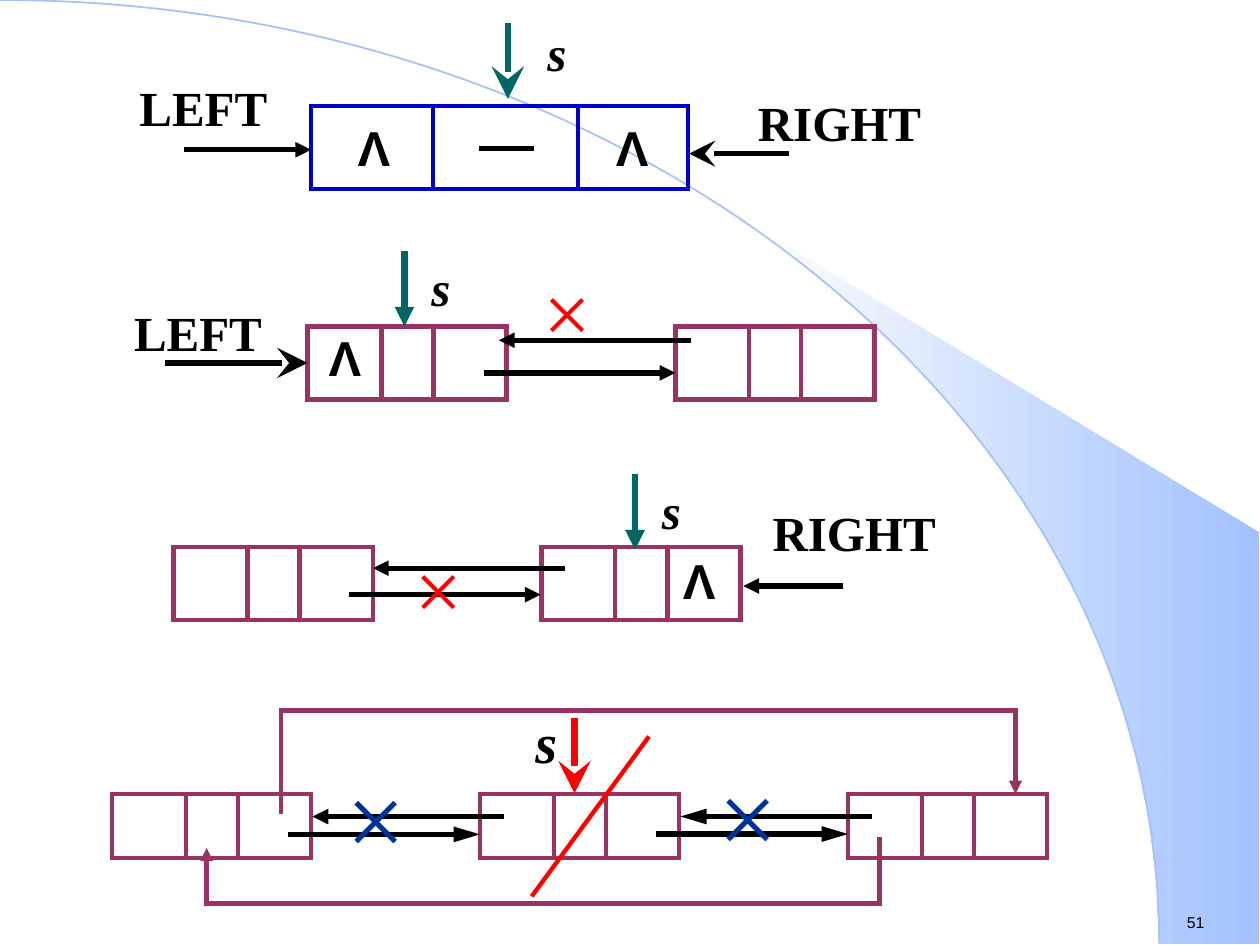
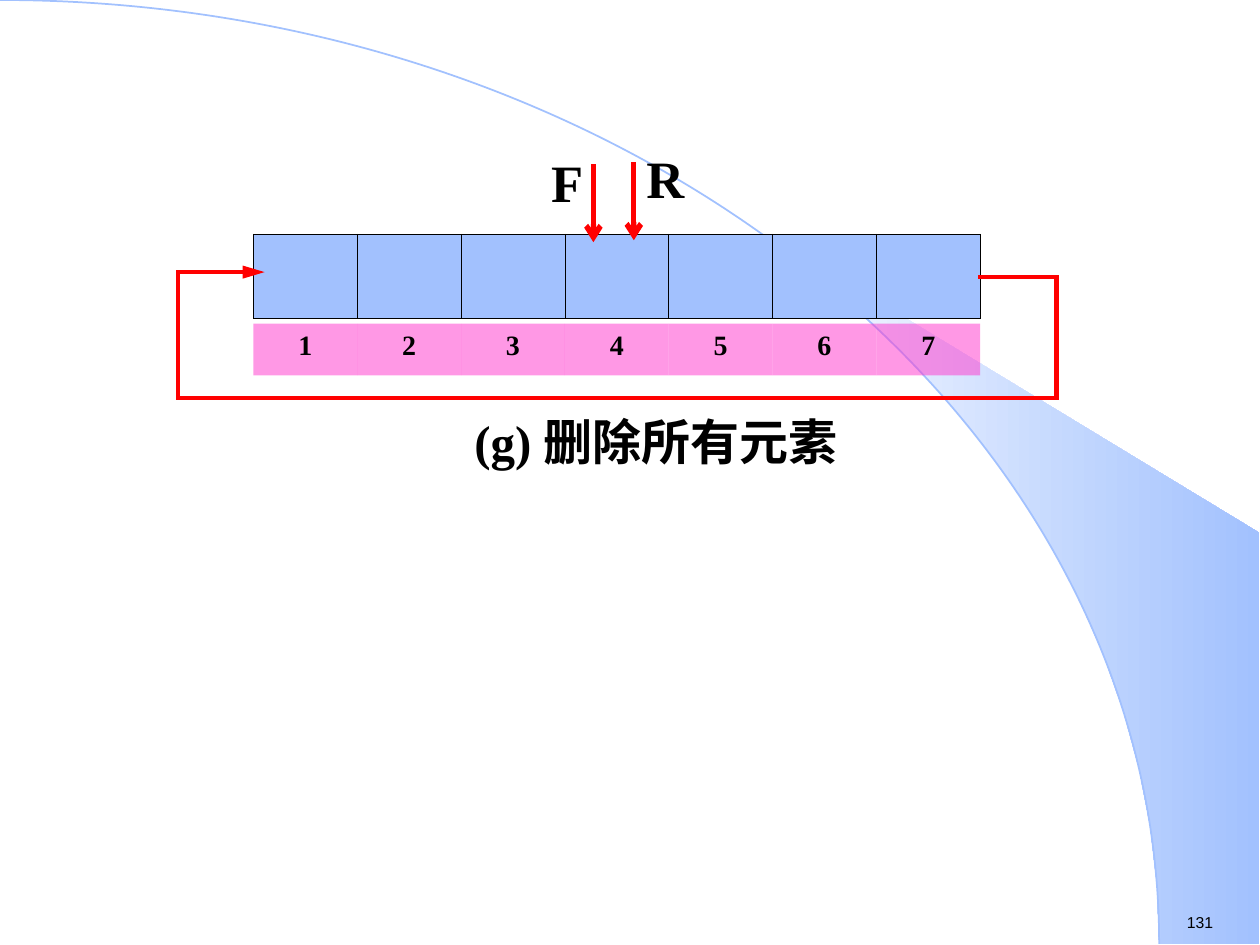
"""Builds two slides on linked-list deletion and an emptied circular queue."""
from math import cos, radians, sin

from lxml.etree import SubElement
from pptx import Presentation
from pptx.dml.color import RGBColor
from pptx.enum.shapes import MSO_CONNECTOR, MSO_SHAPE
from pptx.enum.text import MSO_AUTO_SIZE, PP_ALIGN as AL
from pptx.oxml.ns import qn
from pptx.util import Pt

rgb = RGBColor.from_string
BLACK, RED, TEAL, MAROON = "000000", "FF0000", "006666", "993366"
BLUE, NAVY, SKY, PINK, WHITE = "0000CC", "003399", "A2C1FE", "FF33CC", "FFFFFF"
SERIF, SANS, CJK = "Times New Roman", "Arial", "Noto Sans CJK SC"
NO_STYLE = "{2D5ABB26-0587-4C30-8999-92F81FD0307C}"
TRIANGLE, OPEN = {"type": "triangle"}, {"type": "arrow"}
LONG = {"type": "triangle", "len": "lg"}
STEALTH = {"type": "stealth", "w": "lg", "len": "lg"}


def draw_line(s, points, color, weight, head=None, cap="sq"):
    """Draws straight segments through the points and returns the last one."""
    for start, end in zip(points, points[1:]):
        c = s.shapes.add_connector(MSO_CONNECTOR.STRAIGHT, *map(Pt, start + end))
        c.line.color.rgb = rgb(color)
        c.line.width = Pt(weight)
        c.element.spPr.find(qn("a:ln")).set("cap", cap)
        SubElement(c.element.spPr, qn("a:effectLst"))
    if head:
        SubElement(c.element.spPr.find(qn("a:ln")), qn("a:tailEnd"), **head)
    return c


def add_label(s, text, x, y, w, size=28, font=SERIF, color=BLACK, align=AL.CENTER,
              spacing=0.8, bold=True, italic=False):
    """Adds a one-paragraph text box without margins and returns the paragraph."""
    h = size * 1.2 * min(spacing, 1)
    tf = s.shapes.add_textbox(Pt(x), Pt(y), Pt(w), Pt(h)).text_frame
    tf.word_wrap = True
    tf.auto_size = MSO_AUTO_SIZE.SHAPE_TO_FIT_TEXT
    tf.margin_left = tf.margin_top = tf.margin_right = tf.margin_bottom = 0
    p = tf.paragraphs[0]
    p.text, p.alignment, p.line_spacing = text, align, spacing
    p.font.name, p.font.size = font, Pt(size)
    p.font.bold, p.font.italic = bold, italic
    p.font.color.rgb = rgb(color)
    return p


prs = Presentation()
prs.slide_width, prs.slide_height = Pt(720), Pt(540)
layout = prs.slide_layouts[6]
for ph in list(layout.placeholders):
    layout.shapes.element.remove(ph.element)
lists, queue = [prs.slides.add_slide(layout) for _ in range(2)]

RX, RY = 662.4, 539.3
angles = [radians(40 + 50 * i / 14) for i in range(15)]
edge = [(Pt(RX * sin(a)), Pt(RY * (1 - cos(a)))) for a in angles]
fb = lists.shapes.build_freeform(*edge[0])
fb.add_line_segments(edge[1:] + [(Pt(719.5), Pt(539.3)), (Pt(719.5), Pt(304.5))])
band = fb.convert_to_shape()
band.fill.gradient()
band.fill.gradient_angle = 0
for stop, color in zip(band.fill.gradient_stops, (WHITE, SKY)):
    stop.color.rgb = rgb(color)
band.line.fill.background()

fb = lists.shapes.build_freeform(0, 0)
fb.add_line_segments([(Pt(RX), Pt(RY))], close=False)
curve = fb.convert_to_shape()
curve.fill.background()
curve.line.color.rgb = rgb(SKY)
curve.line.width = Pt(1)
segment = next(curve.element.iter(qn("a:lnTo")))
bezier = SubElement(segment.getparent(), qn("a:cubicBezTo"))
segment.getparent().remove(segment)
for x, y in ((RX * 0.55, 0), (RX, RY * 0.45), (RX, RY)):
    SubElement(bezier, qn("a:pt"), x=str(Pt(x)), y=str(Pt(y)))
for sp in (band, curve):
    sp.shadow.inherit = False
    layout.shapes.element.append(sp.element)

for s, number in ((lists, "51"), (queue, "131")):
    add_label(s, number, 678.2, 521.7, 40, 9, SANS, align=AL.LEFT, spacing=1, bold=False)

NODE_STEP, NODE_W, NODE_CUTS = 210.2, 113.8, (42.2, 72)
nodes = []
for x0, y, w, h, cuts, color, weight, count in (
        (177.8, 60.5, 215.3, 47.5, (69.9, 152.7), BLUE, 2.25, 1),
        (175.7, 186.5, NODE_W, 41.8, NODE_CUTS, MAROON, 2.5, 2),
        (99.2, 312.5, NODE_W, 41.8, NODE_CUTS, MAROON, 2.5, 2),
        (64.1, 453.6, NODE_W, 36.7, NODE_CUTS, MAROON, 2.5, 3)):
    for i in range(count):
        x = x0 + i * NODE_STEP
        sp = lists.shapes.add_shape(MSO_SHAPE.RECTANGLE, Pt(x), Pt(y), Pt(w), Pt(h))
        sp.shadow.inherit = False
        sp.fill.background()
        sp.line.color.rgb = rgb(color)
        sp.line.width = Pt(weight)
        SubElement(sp.element.spPr.find(qn("a:ln")), qn("a:miter"), lim="800000")
        nodes.append(sp)
        for cut in cuts:
            draw_line(lists, [(x + cut, y), (x + cut, y + h)], color, weight)

for x, y, dx, head in (
        (393.1, 194.4, -108, TRIANGLE), (277.9, 213.1, 108, TRIANGLE),
        (321.1, 324.7, -108, TRIANGLE), (200.9, 339.8, 108, TRIANGLE),
        (286.6, 466.6, -108, TRIANGLE), (496.8, 466.6, -108, LONG),
        (166.3, 476.8, 108, LONG), (376.6, 476.6, 108, LONG)):
    draw_line(lists, [(x, y), (x + dx, y)], BLACK, 3, head)
for x, y, dx, head in ((105.1, 85.6, 72.7, TRIANGLE), (273.6, 85, 31.7, None),
                       (450.7, 87.8, -56.9, STEALTH), (481.7, 334.9, -56.9, TRIANGLE)):
    draw_line(lists, [(x, y), (x + dx, y)], BLACK, 3, head, "flat")
c = draw_line(lists, [(95.8, 207.4), (175.7, 207.4)], BLACK, 3.5, STEALTH)
c.end_connect(nodes[1], 1)
for x, y, color, head in ((290.2, 15.1, TEAL, STEALTH), (231.1, 145.2, TEAL, TRIANGLE),
                          (362.9, 272.7, TEAL, TRIANGLE), (328.3, 412, RED, STEALTH)):
    draw_line(lists, [(x, y), (x, y + 41.4)], color, 3.75, head)
draw_line(lists, [(370.1, 421.9), (304.6, 511.2)], RED, 2.5)
for bypass in ([(502.6, 479.5), (502.6, 516.2), (118.1, 516.2), (118.1, 484.6)],
               [(160.6, 463.7), (160.6, 406.1), (580.3, 406.1), (580.3, 453.6)]):
    draw_line(lists, bypass, MAROON, 2.5, TRIANGLE)

for x, y, w, size in ((294.5, 19.4, 47.5, 28), (228.2, 153.8, 47.5, 28),
                      (360, 281.2, 47.5, 28), (283.7, 411.8, 56.9, 32)):
    add_label(lists, "s", x, y, w, size, italic=True)
for text, x, y, w, align, spacing in (
        ("LEFT", 56.9, 50.8, 95.8, AL.RIGHT, 0.8), ("RIGHT", 425.5, 59.3, 100.8, AL.RIGHT, 0.8),
        ("LEFT", 56.2, 172.8, 113.8, AL.CENTER, 1.0), ("RIGHT", 433.4, 286.9, 109.4, AL.CENTER, 1.0)):
    add_label(lists, text, x, y, w, align=align, spacing=spacing)
for x, y, w in ((190, 73.4, 47.5), (337.5, 73.4, 47.5), (185.6, 193.4, 23), (388.1, 320.9, 23)):
    add_label(lists, "Λ", x, y, w, font=SANS)
for x, y, w, size, color in ((310.5, 159.5, 45.4, 48, RED), (236.9, 317.5, 45.4, 48, RED),
                             (198, 443.8, 56.9, 60, NAVY), (410.4, 442.8, 56.9, 60, NAVY)):
    add_label(lists, "×", x, y, w, size, color=color, align=AL.LEFT, bold=False)

for y, h, color, numbered in ((133.9, 47.8, SKY, False), (185, 29.5, PINK, True)):
    gf = queue.shapes.add_table(1, 7, Pt(144.8), Pt(y), Pt(415.5), Pt(h))
    gf.table.first_row = gf.table.horz_banding = False
    next(gf.element.iter(qn("a:tableStyleId"))).text = NO_STYLE
    for i, cell in enumerate(gf.table.iter_cells(), 1):
        if numbered:
            p = cell.text_frame.paragraphs[0]
            p.text, p.alignment = str(i), AL.CENTER
            p.font.name, p.font.size, p.font.bold = SERIF, Pt(16), True
            p.font.color.rgb = rgb(BLACK)
        else:
            for side in ("L", "R", "T", "B"):
                ln = SubElement(cell._tc.get_or_add_tcPr(), qn("a:ln" + side), w=str(Pt(0.45)))
                SubElement(SubElement(ln, qn("a:solidFill")), qn("a:srgbClr"), val=BLACK)
        cell.fill.solid()
        cell.fill.fore_color.rgb = rgb(color)
        if numbered:
            clr = cell._tc.tcPr.find(qn("a:solidFill")).find(qn("a:srgbClr"))
            SubElement(clr, qn("a:alpha"), val="50000")

draw_line(queue, [(560.2, 158.4), (603.8, 158.4), (603.8, 227.5), (101.6, 227.5),
                  (101.6, 155.5), (151.2, 155.5)], RED, 2.5, LONG)
for text, x, y, arrow_x, arrow_y in (("F", 308.2, 88.6, 339.1, 95.4), ("R", 364.3, 86.4, 362.2, 94.3)):
    draw_line(queue, [(arrow_x, arrow_y), (arrow_x, arrow_y + 43)], RED, 3, OPEN)
    add_label(queue, text, x, y, 31.7, 30, spacing=Pt(33))
p = add_label(queue, "(g) ", 223.9, 235.8, 301.7, spacing=Pt(33))
r = p.add_run()
r.text = "删除所有元素"
r.font.name = CJK
SubElement(r.font._element, qn("a:ea"), typeface=CJK)

prs.save("out.pptx")
